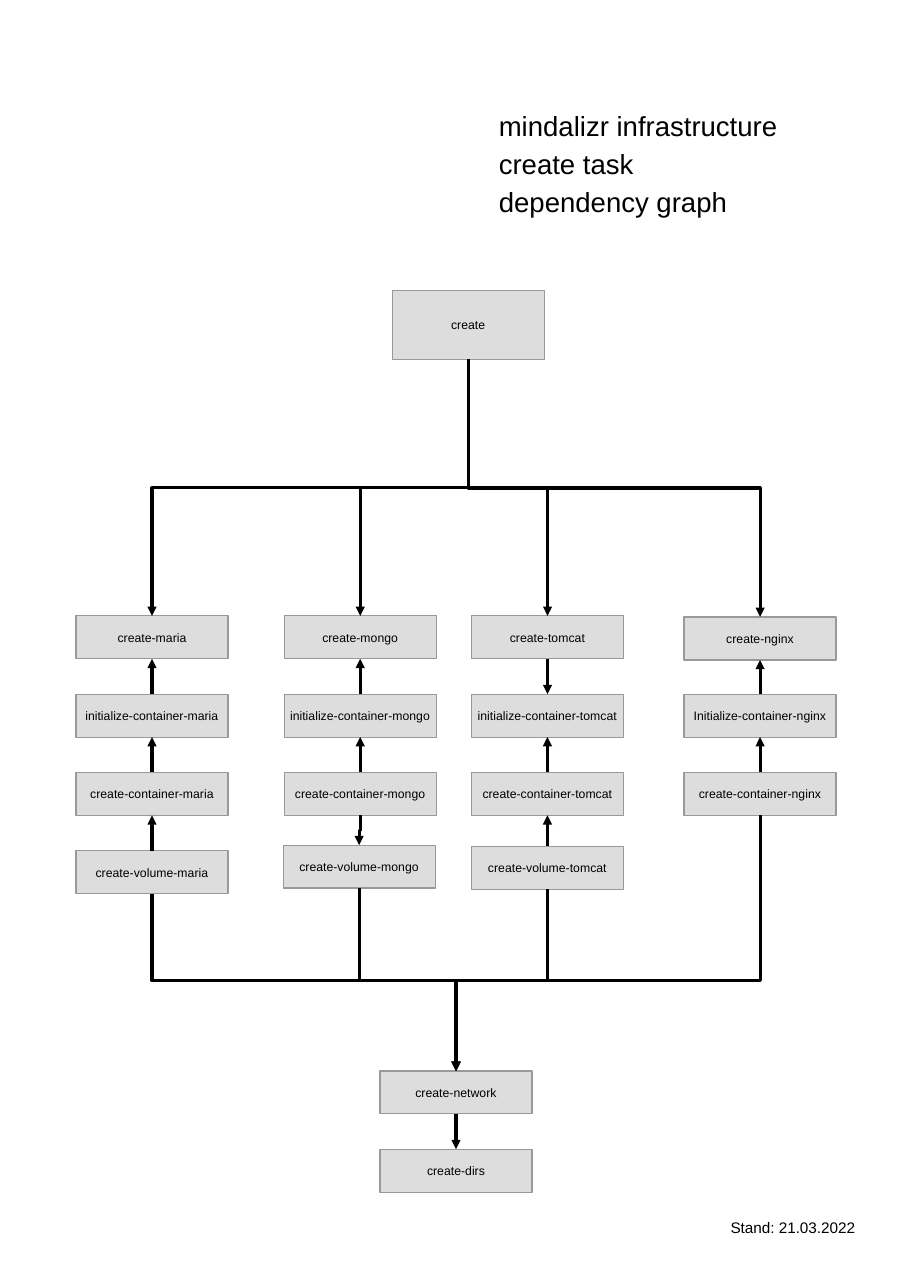
from lxml.etree import SubElement
from pptx import Presentation
from pptx.dml.color import RGBColor
from pptx.enum.shapes import MSO_CONNECTOR, MSO_SHAPE
from pptx.enum.text import MSO_ANCHOR, PP_ALIGN
from pptx.oxml.ns import qn
from pptx.util import Inches, Pt

BLACK = RGBColor(0x00, 0x00, 0x00)
BOX_FILL = RGBColor(0xDD, 0xDD, 0xDD)
BOX_EDGE = RGBColor(0x99, 0x99, 0x99)
FONT = "Arial"

TASK_WIDTH, TASK_HEIGHT = 1.38, 0.39
FIRST_ROW, ROW_PITCH = 5.59, 0.71
BRANCH_Y, MERGE_Y = Inches(4.43), Inches(8.9)
TOP, BOTTOM = 0, 2  # connection sites of a rectangle

# Left edge and tasks of each service
SERVICES = [
    (0.69, ["create-maria", "initialize-container-maria",
            "create-container-maria", "create-volume-maria"]),
    (2.58, ["create-mongo", "initialize-container-mongo",
            "create-container-mongo", "create-volume-mongo"]),
    (4.28, ["create-tomcat", "initialize-container-tomcat",
            "create-container-tomcat", "create-volume-tomcat"]),
    (6.21, ["create-nginx", "Initialize-container-nginx",
            "create-container-nginx"]),
]
# Tasks that sit slightly off the grid
OFF_GRID = {
    "create-volume-mongo": (2.57, 7.67),
    "create-volume-tomcat": (4.28, 7.68),
    "create-nginx": (6.21, 5.6),
}
# Tasks whose arrow to the next row points down
POINTS_DOWN = {"create-tomcat", "create-container-mongo"}


def write(paragraph, text, size, **paragraph_format):
    for name, value in paragraph_format.items():
        setattr(paragraph, name, value)
    run = paragraph.add_run()
    run.text = text
    for name, value in {"name": FONT, "size": Pt(size)}.items():
        setattr(run.font, name, value)
    run.font.color.rgb = BLACK


def add_task(slide, name, left, top, height=TASK_HEIGHT):
    task = slide.shapes.add_shape(
        MSO_SHAPE.RECTANGLE, Inches(left), Inches(top),
        Inches(TASK_WIDTH), Inches(height))
    task.shadow.inherit = False
    task.fill.solid()
    task.fill.fore_color.rgb = BOX_FILL
    task.line.color.rgb = BOX_EDGE
    task.line.width = Pt(0)
    frame = task.text_frame
    frame.word_wrap = False
    frame.vertical_anchor = MSO_ANCHOR.MIDDLE
    write(frame.paragraphs[0], name, 8, alignment=PP_ALIGN.CENTER)
    return task


def add_label(slide, lines, left, top, width, height, size,
              alignment=PP_ALIGN.LEFT):
    label = slide.shapes.add_textbox(
        Inches(left), Inches(top), Inches(width), Inches(height))
    frame = label.text_frame
    frame.word_wrap = True
    for index, line in enumerate(lines):
        paragraph = frame.add_paragraph() if index else frame.paragraphs[0]
        write(paragraph, line, size, alignment=alignment,
              line_spacing=1.15 if index else None)


def style_arrow(arrow):
    arrow.line.color.rgb = BLACK
    arrow.line.width = Pt(0)
    SubElement(arrow.line._get_or_add_ln(), qn("a:tailEnd"), type="triangle")
    SubElement(arrow._element.spPr, qn("a:effectLst"))


def center_x(task):
    return task.left + task.width // 2


def add_straight_arrow(slide, source, target):
    """Vertical arrow between two tasks of one column."""
    down = source.top < target.top
    arrow = slide.shapes.add_connector(MSO_CONNECTOR.STRAIGHT, 0, 0, 0, 0)
    arrow.begin_connect(source, BOTTOM if down else TOP)
    arrow.end_connect(target, TOP if down else BOTTOM)
    style_arrow(arrow)


def add_elbow_arrow(slide, source, target, turn_y):
    """Arrow that runs down, sideways at turn_y, and down again."""
    x1, y1 = center_x(source), source.top + source.height
    x2, y2 = center_x(target), target.top
    middle_x, middle_y = (x1 + x2) // 2, (y1 + y2) // 2
    half_drop, half_shift = (y2 - y1) // 2, abs(x2 - x1) // 2
    # The preset runs sideways, so it is turned a quarter to run down
    rightward = x2 > x1
    reach = half_drop if rightward else -half_drop
    arrow = slide.shapes.add_connector(
        MSO_CONNECTOR.ELBOW, middle_x + reach, middle_y - half_shift,
        middle_x - reach, middle_y + half_shift)
    properties = arrow._element.spPr
    angle = 270 if rightward else 90
    properties.find(qn("a:xfrm")).set("rot", str(angle * 60000))
    adjust = round((turn_y - y1) / (y2 - y1) * 100000)
    guides = properties.find(qn("a:prstGeom")).get_or_add_avLst()
    SubElement(guides, qn("a:gd"), name="adj1", fmla=f"val {adjust}")
    style_arrow(arrow)


def add_service(slide, left, names):
    """Column of tasks with the arrows between them."""
    tasks = []
    for row, name in enumerate(names):
        place = OFF_GRID.get(name, (left, FIRST_ROW + row * ROW_PITCH))
        tasks.append(add_task(slide, name, *place))
    for name, upper, lower in zip(names, tasks, tasks[1:]):
        if center_x(upper) != center_x(lower):
            turn_y = (upper.top + upper.height + lower.top) // 2
            add_elbow_arrow(slide, upper, lower, turn_y)
        elif name in POINTS_DOWN:
            add_straight_arrow(slide, upper, lower)
        else:
            add_straight_arrow(slide, lower, upper)
    return tasks[0], tasks[-1]


def main():
    deck = Presentation()
    deck.slide_width, deck.slide_height = Inches(8.27), Inches(11.69)
    slide = deck.slides.add_slide(deck.slide_layouts[6])

    # Title and date
    add_label(slide, ["mindalizr infrastructure", "create task",
                      "dependency graph"], 4.43, 0.94, 3.31, 1.02, 18)
    add_label(slide, ["Stand: 21.03.2022"], 5.97, 11.01, 1.89, 0.25, 10,
              PP_ALIGN.RIGHT)

    # Root task and the shared tasks at the foot
    create = add_task(slide, "create", 3.56, 2.64, 0.62)
    network = add_task(slide, "create-network", 3.45, 9.72)
    dirs = add_task(slide, "create-dirs", 3.45, 10.43)
    add_straight_arrow(slide, network, dirs)

    # Services between them
    for left, names in SERVICES:
        first, last = add_service(slide, left, names)
        add_elbow_arrow(slide, create, first, BRANCH_Y)
        add_elbow_arrow(slide, last, network, MERGE_Y)

    deck.save("out.pptx")


if __name__ == "__main__":
    main()
